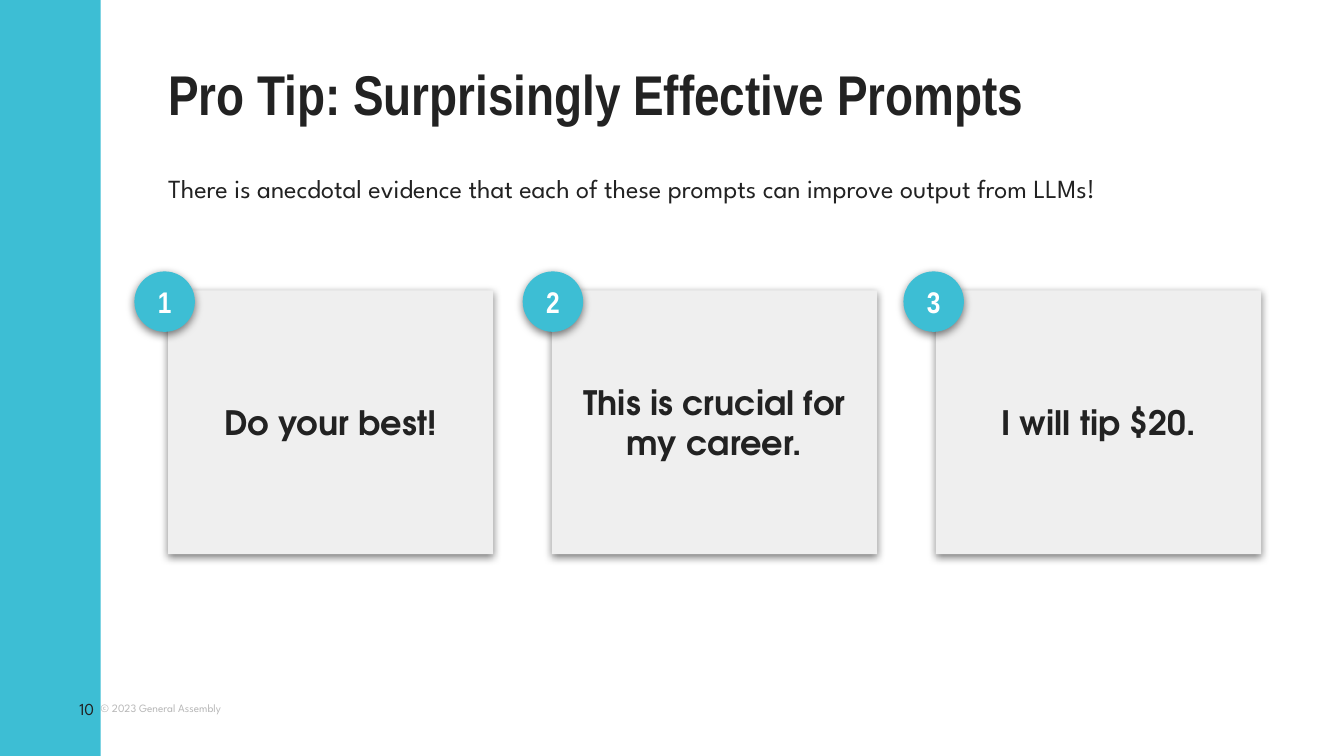
from lxml import etree
from pptx import Presentation
from pptx.dml.color import RGBColor
from pptx.enum import shapes, text
from pptx.oxml.ns import qn
from pptx.util import Pt

# Content
TITLE = "Pro Tip: Surprisingly Effective Prompts"
INTRO = ("There is anecdotal evidence that each of these prompts "
         "can improve output from LLMs!")
# Each prompt with the left edge of its number badge
PROMPTS = [
    ("Do your best!", 72),
    ("This is crucial for my career.", 280),
    ("I will tip $20.", 484),
]
COPYRIGHT = "© 2023 General Assembly"
PAGE = "10"

# Style
COLORS = {"teal": "3DBED4", "ink": "222222", "card": "EFEFEF",
          "muted": "B7B7B7", "white": "FFFFFF", "shadow": "000000"}
HEAD, BODY, CARD = "Arial Narrow", "League Spartan", "TeX Gyre Adventor"
ALIGN, ANCHOR = text.PP_ALIGN, text.MSO_ANCHOR
RECT, OVAL = shapes.MSO_SHAPE.RECTANGLE, shapes.MSO_SHAPE.OVAL

# Layout
WIDTH, HEIGHT = 720, 405
LEFT = 90
CARD_TOP, CARD_W, CARD_H, CARD_PITCH = 155.6, 174.2, 141.4, 205.7
BADGE_TOP, BADGE_SIZE = 145.4, 32.4


def rgb(name):
    return RGBColor.from_string(COLORS[name])


def set_text(sp, words, font, size, color, bold=False, align=ALIGN.LEFT,
             anchor=ANCHOR.TOP, inset=0):
    tf = sp.text_frame
    tf.word_wrap = True
    tf.vertical_anchor = anchor
    tf.margin_left = tf.margin_right = Pt(inset)
    tf.margin_top = tf.margin_bottom = Pt(inset)
    tf.text = words
    p = tf.paragraphs[0]
    p.alignment = align
    f = p.runs[0].font
    f.name, f.size, f.bold = font, Pt(size), bold
    f.color.rgb = rgb(color)
    return p


def add_text(s, box, *args, **style):
    sp = s.shapes.add_textbox(*map(Pt, box))
    return set_text(sp, *args, **style)


def add_block(s, kind, box, color):
    sp = s.shapes.add_shape(kind, *map(Pt, box))
    sp.fill.solid()
    sp.fill.fore_color.rgb = rgb(color)
    sp.line.fill.background()
    sp.shadow.inherit = False
    return sp


def add_shadow(sp):
    effects = sp._element.spPr.find(qn("a:effectLst"))
    shadow = etree.SubElement(
        effects, qn("a:outerShdw"), blurRad=str(Pt(4.5)), dist=str(Pt(1.5)),
        dir="5400000", algn="bl", rotWithShape="0")
    color = etree.SubElement(shadow, qn("a:srgbClr"), val=COLORS["shadow"])
    etree.SubElement(color, qn("a:alpha"), val="50000")


def add_raised(s, kind, box, fill, *args):
    sp = add_block(s, kind, box, fill)
    add_shadow(sp)
    set_text(sp, *args, bold=True, align=ALIGN.CENTER,
             anchor=ANCHOR.MIDDLE, inset=7.2)


def main():
    prs = Presentation()
    prs.slide_width, prs.slide_height = Pt(WIDTH), Pt(HEIGHT)
    s = prs.slides.add_slide(prs.slide_layouts[6])

    # Footer and side band
    add_text(s, (54, 372.2, 72, 14.4), COPYRIGHT, BODY, 6, "muted",
             anchor=ANCHOR.MIDDLE)
    add_block(s, RECT, (0, 0, 54, HEIGHT), "teal")
    add_text(s, (25.2, 367.2, 25.2, 25.2), PAGE, BODY, 9, "ink",
             align=ALIGN.RIGHT, anchor=ANCHOR.MIDDLE)

    # Title and introduction
    p = add_text(s, (LEFT, 36, 594, 32.4), TITLE, HEAD, 30, "ink", bold=True)
    p.line_spacing = 0.9
    p = add_text(s, (LEFT, 90, 594, 17.3), INTRO, BODY, 14, "ink")
    p.line_spacing = 1.15

    # Prompt cards
    for i, (prompt, _) in enumerate(PROMPTS):
        box = (LEFT + i * CARD_PITCH, CARD_TOP, CARD_W, CARD_H)
        add_raised(s, RECT, box, "card", prompt, CARD, 18, "ink")

    # Number badges
    for number, (_, x) in enumerate(PROMPTS, 1):
        box = (x, BADGE_TOP, BADGE_SIZE, BADGE_SIZE)
        add_raised(s, OVAL, box, "teal", str(number), HEAD, 16, "white")

    prs.save("out.pptx")


if __name__ == "__main__":
    main()
